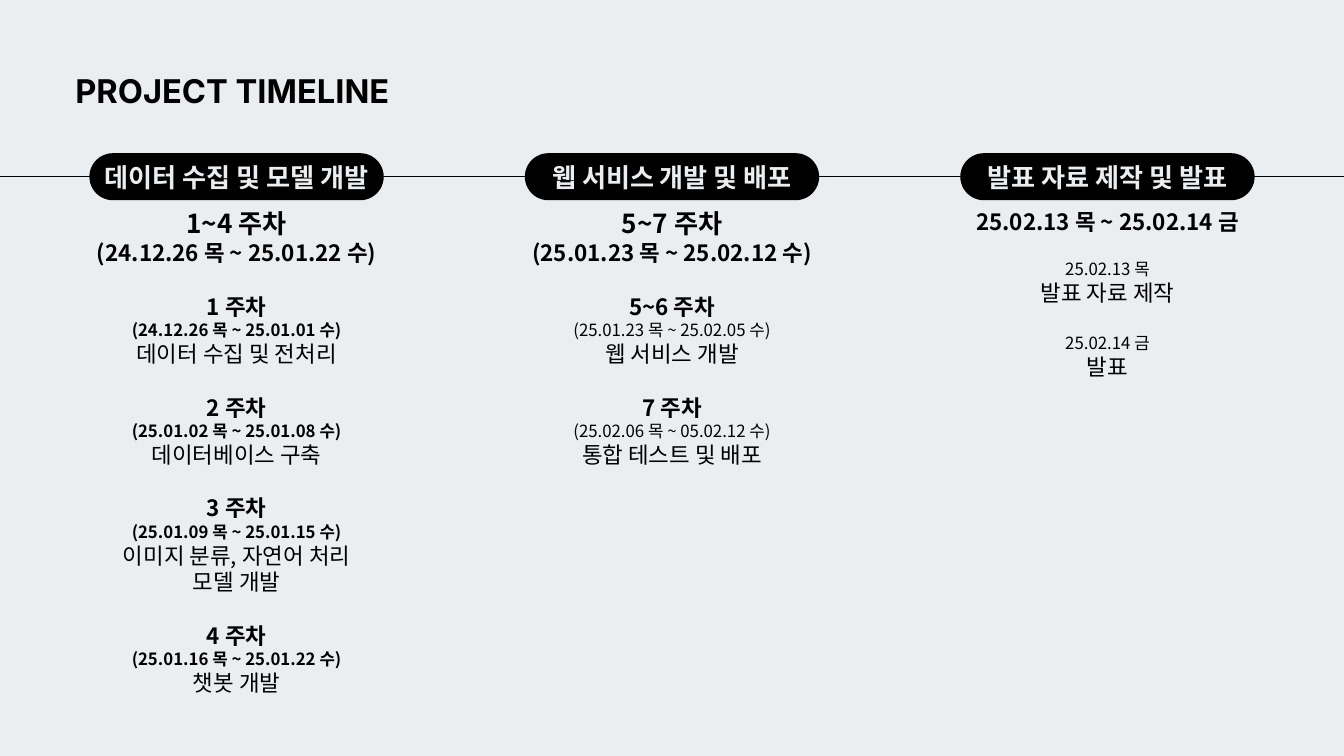
"""Build the project timeline slide with three phase columns."""
from lxml.etree import SubElement
from pptx import Presentation
from pptx.dml.color import RGBColor
from pptx.enum.shapes import MSO_CONNECTOR as Link, MSO_SHAPE as Shape
from pptx.enum.text import MSO_ANCHOR as Anchor, PP_ALIGN as Align
from pptx.oxml.ns import qn
from pptx.util import Inches, Pt

INK, PALE = "000000", "EBEEF0"
SANS, HEAD = "Noto Sans CJK SC", "Inter"
EDGE, WIDE, AXIS = 1.33, 4.38, 2.63
STEP = (20 - 2 * EDGE - WIDE) / 2
LEAD = 1.2


def tint(code):
    return RGBColor.from_string(code)


def write(shape, rows, font=SANS, ink=INK, align=Align.CENTER):
    frame = shape.text_frame
    frame.word_wrap = True
    frame.margin_left = frame.margin_right = 0
    frame.margin_top = frame.margin_bottom = 0
    for i, (text, size, bold, gap) in enumerate(rows):
        para = frame.add_paragraph() if i else frame.paragraphs[0]
        para.alignment = align
        para.line_spacing = Pt(size * LEAD)
        if i and gap:
            para.space_before = Pt(24 * LEAD)
        run = para.add_run()
        run.text = text
        run.font.size, run.font.bold, run.font.name = Pt(size), bold, font
        run.font.color.rgb = tint(ink)
        SubElement(run.font._element, qn("a:ea")).set("typeface", font)
    return frame


phases = [
    ("데이터 수집 및 모델 개발", "1~4 주차", "(24.12.26 목 ~ 25.01.22 수)", 4.36, 6.13, True, [
        ("1 주차", "(24.12.26 목 ~ 25.01.01 수)", "데이터 수집 및 전처리"),
        ("2 주차", "(25.01.02 목 ~ 25.01.08 수)", "데이터베이스 구축"),
        ("3 주차", "(25.01.09 목 ~ 25.01.15 수)", "이미지 분류, 자연어 처리", "모델 개발"),
        ("4 주차", "(25.01.16 목 ~ 25.01.22 수)", "챗봇 개발")]),
    ("웹 서비스 개발 및 배포", "5~7 주차", "(25.01.23 목 ~ 25.02.12 수)", 4.36, 2.66, False, [
        ("5~6 주차", "(25.01.23 목 ~ 25.02.05 수)", "웹 서비스 개발"),
        ("7 주차", "(25.02.06 목 ~ 05.02.12 수)", "통합 테스트 및 배포")]),
    ("발표 자료 제작 및 발표", "", "25.02.13 목 ~ 25.02.14 금", 3.85, 1.82, False, [
        ("", "25.02.13 목", "발표 자료 제작"),
        ("", "25.02.14 금", "발표")]),
]

deck = Presentation()
deck.slide_width, deck.slide_height = Inches(20), Inches(11.25)
slide = deck.slides.add_slide(deck.slide_layouts[6])
slide.background.fill.solid()
slide.background.fill.fore_color.rgb = tint(PALE)
shapes = slide.shapes

axis = shapes.add_connector(Link.STRAIGHT, 0, Inches(AXIS), deck.slide_width, Inches(AXIS))
axis.line.color.rgb = tint(INK)
axis.line.width = Pt(0.75)
SubElement(axis._element.spPr, qn("a:effectLst"))

title = shapes.add_textbox(Inches(1.12), Inches(1.06), Inches(6.88), Inches(0.59))
write(title, [("PROJECT TIMELINE", 35, True, False)], HEAD, INK, Align.LEFT)

for col, (name, weeks, span, top, tall, heavy, steps) in enumerate(phases):
    left, wide = Inches(EDGE + col * STEP), Inches(WIDE)

    pill = shapes.add_shape(Shape.ROUNDED_RECTANGLE, left, Inches(AXIS - 0.35), wide, Inches(0.7))
    pill.adjustments[0] = 0.5
    pill.shadow.inherit = False
    pill.fill.solid()
    pill.fill.fore_color.rgb = tint(INK)
    pill.line.fill.background()
    label = write(pill, [(name, 28, True, False)], ink=PALE)
    label.vertical_anchor = Anchor.MIDDLE
    label.word_wrap = False

    rows = [(weeks, 28, True, False)] if weeks else []
    rows.append((span, 24, True, False))
    high = 0.88 if weeks else 0.4
    write(shapes.add_textbox(left, Inches(3.09), wide, Inches(high)), rows)

    rows = []
    for week, dates, *tasks in steps:
        if week:
            rows.append((week, 24, True, True))
        rows.append((dates, 18, heavy, not week))
        rows += [(task, 24, False, False) for task in tasks]
    write(shapes.add_textbox(left, Inches(top), wide, Inches(tall)), rows)

deck.save("out.pptx")
